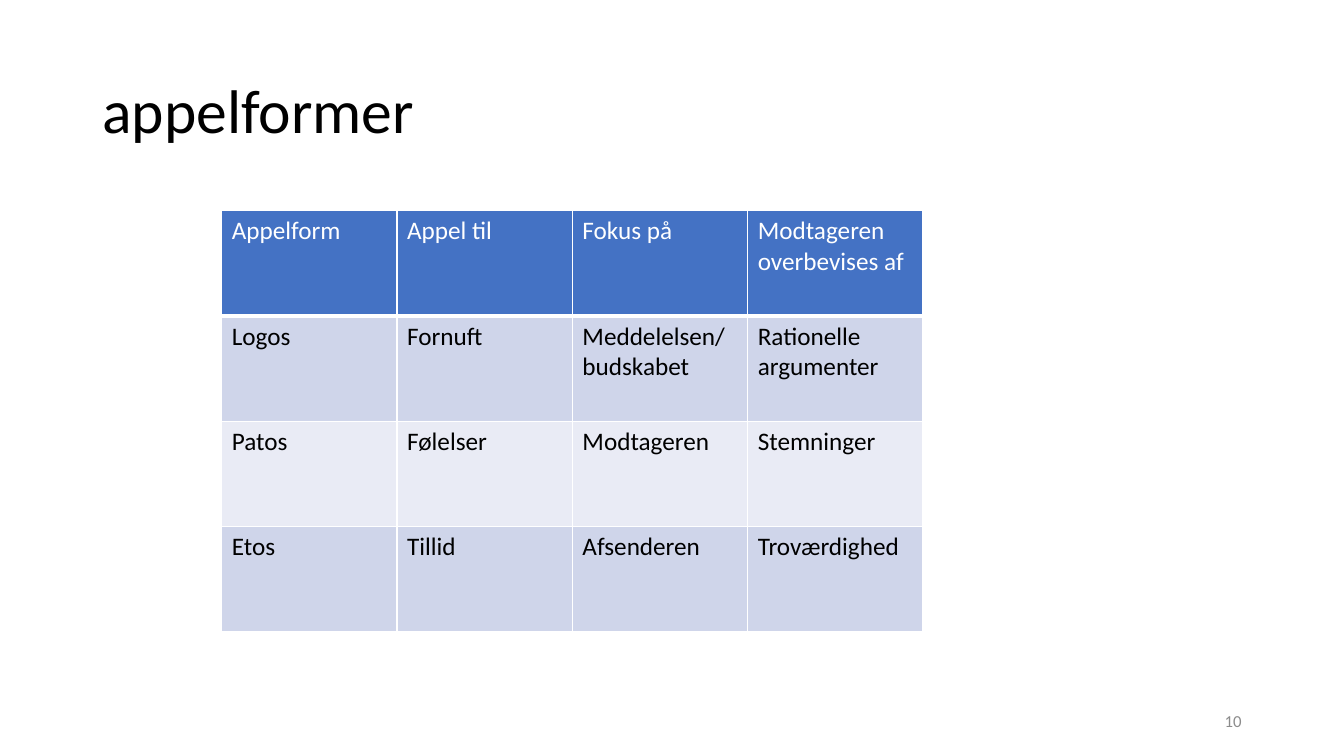
from dataclasses import dataclass

from lxml import etree
from pptx import Presentation
from pptx.dml.color import RGBColor
from pptx.enum import text
from pptx.oxml import ns
from pptx.util import Pt


@dataclass(frozen=True)
class Theme:
    """Colours, font and type sizes of the slide."""
    font: str = "Calibri"
    ink: str = "000000"
    paper: str = "FFFFFF"
    muted: str = "8C8C8C"
    header: str = "4472C4"
    bands: tuple = ("CFD5EA", "E9EBF5")
    title_size: int = 44
    body_size: int = 18
    number_size: int = 12


THEME = Theme()
ROWS = [
    ("Appelform", "Appel til", "Fokus på", "Modtageren overbevises af"),
    ("Logos", "Fornuft", "Meddelelsen/ budskabet", "Rationelle argumenter"),
    ("Patos", "Følelser", "Modtageren", "Stemninger"),
    ("Etos", "Tillid", "Afsenderen", "Troværdighed"),
]


def set_attrs(obj, values):
    """Set each named attribute of an object."""
    for name, value in values.items():
        setattr(obj, name, value)


def write(tf, words, size, color, **paragraph):
    """Write one formatted paragraph into a text frame."""
    p = tf.paragraphs[0]
    set_attrs(p, paragraph)
    r = p.add_run()
    r.text = words
    set_attrs(r.font, {"name": THEME.font, "size": Pt(size), "bold": False})
    r.font.color.rgb = RGBColor.from_string(color)


def add_label(s, box, words, size, color, **paragraph):
    """Add a vertically centred line of text in a box."""
    tf = s.shapes.add_textbox(*map(Pt, box)).text_frame
    set_attrs(tf, {"word_wrap": True, "vertical_anchor": text.MSO_ANCHOR.MIDDLE})
    write(tf, words, size, color, **paragraph)


def add_borders(cell, widths):
    """Draw the left, right, top and bottom borders of a cell."""
    tc_pr = cell._tc.get_or_add_tcPr()
    for side, width in zip("LRTB", widths):
        ln = etree.SubElement(tc_pr, ns.qn(f"a:ln{side}"), w=str(Pt(width)))
        fill = etree.SubElement(ln, ns.qn("a:solidFill"))
        etree.SubElement(fill, ns.qn("a:srgbClr"), val=THEME.paper)


def add_appeal_table(s, box, rows):
    """Fill a box with an even grid of appeal forms under a header row."""
    left, top, width, height = box
    table = s.shapes.add_table(len(rows), len(rows[0]), *map(Pt, box)).table
    for column in table.columns:
        column.width = Pt(width / len(rows[0]))
    for i, row in enumerate(rows):
        table.rows[i].height = Pt(height / len(rows))
        is_header = i == 0
        fill = THEME.header if is_header else THEME.bands[(i - 1) % 2]
        color = THEME.paper if is_header else THEME.ink
        for j, words in enumerate(row):
            cell = table.cell(i, j)
            add_borders(cell, (1, 1, 1, 3 if is_header else 1))
            cell.fill.solid()
            cell.fill.fore_color.rgb = RGBColor.from_string(fill)
            write(cell.text_frame, words, THEME.body_size, color)


def build_appeal_slide(prs, box):
    """Place the title, table and slide number relative to the slide box."""
    left, top, width, height = box
    s = prs.slides.add_slide(prs.slide_layouts[6])
    margin = 66
    add_label(s, (left + margin, top + 28.75, width - 2 * margin, 104.4),
              "appelformer", THEME.title_size, THEME.ink, line_spacing=0.9)
    add_appeal_table(s, (left + 158.4, top + 150.5, 501, 301), ROWS)
    add_label(s, (left + width - margin - 216, top + height - 39.5, 216, 28.75),
              "10", THEME.number_size, THEME.muted,
              alignment=text.PP_ALIGN.RIGHT)


def main():
    """Build and save the presentation."""
    prs = Presentation()
    width, height = 960, 540
    set_attrs(prs, {"slide_width": Pt(width), "slide_height": Pt(height)})
    build_appeal_slide(prs, (0, 0, width, height))
    prs.save("out.pptx")


main()
